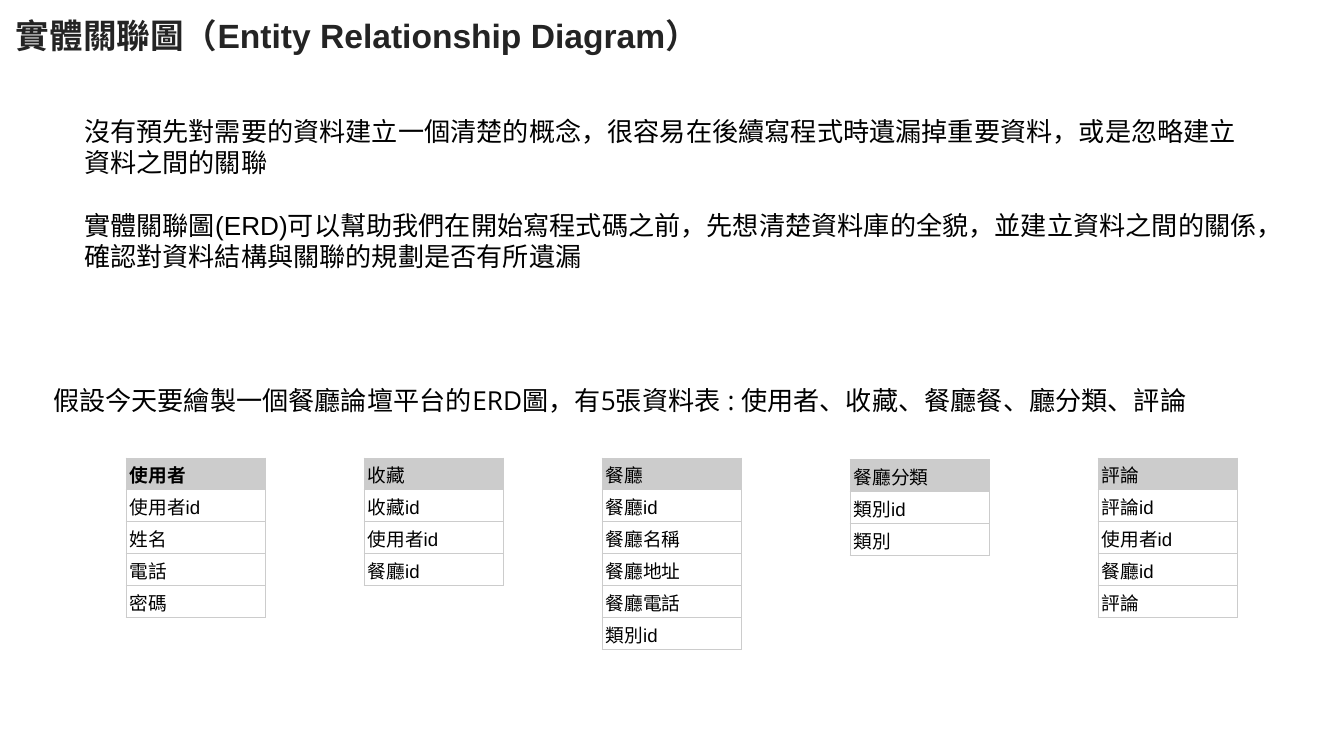
from dataclasses import dataclass

from lxml.etree import SubElement
from pptx import Presentation
from pptx.dml.color import RGBColor
from pptx.enum.text import MSO_ANCHOR, MSO_AUTO_SIZE
from pptx.oxml import parse_xml
from pptx.oxml.ns import nsdecls, qn
from pptx.slide import Slide
from pptx.table import _Cell as Cell
from pptx.text.text import _Paragraph as Paragraph
from pptx.util import Emu, Pt

EMU_PER_PX = 914400 / 134.4
SLIDE_WIDTH, SLIDE_HEIGHT = 1344, 756
COLUMN_WIDTH, ROW_HEIGHT = 140, 32
BORDER_WIDTH = Pt(0.6)
COLORS = {"title": "242424", "text": "000000", "header": "CCCCCC", "border": "CCCCCC"}


@dataclass(frozen=True)
class TextBlock:
    left: int
    top: int
    width: int
    height: int
    paragraphs: tuple[str, ...]
    size: int = 14
    font: str = "Arial"
    color: str = "text"
    bold: bool = False
    line_spacing: float = 1.0
    space_before: int = 0
    paragraph_gap: int = 0
    grows: bool = False


@dataclass(frozen=True)
class Entity:
    left: int
    top: int
    name: str
    fields: tuple[str, ...]
    bold_name: bool = False


TEXT_BLOCKS = (
    TextBlock(3, 4, 723, 54, ("實體關聯圖（Entity Relationship Diagram）",),
              size=18, color="title", bold=True, line_spacing=0.98, space_before=29),
    TextBlock(40, 371, 1263, 105,
              ("假設今天要繪製一個餐廳論壇平台的ERD圖，有5張資料表 : 使用者、收藏、餐廳餐、廳分類、評論",),
              font="Open Sans"),
    TextBlock(71, 102, 1200, 185, (
        "沒有預先對需要的資料建立一個清楚的概念，很容易在後續寫程式時遺漏掉重要資料，或是忽略建立資料之間的關聯",
        "實體關聯圖(ERD)可以幫助我們在開始寫程式碼之前，先想清楚資料庫的全貌，並建立資料之間的關係，確認對資料結構與關聯的規劃是否有所遺漏",
    ), paragraph_gap=17, grows=True),
)

ENTITIES = (
    Entity(126, 458, "使用者", ("使用者id", "姓名", "電話", "密碼"), bold_name=True),
    Entity(364, 458, "收藏", ("收藏id", "使用者id", "餐廳id")),
    Entity(602, 458, "餐廳", ("餐廳id", "餐廳名稱", "餐廳地址", "餐廳電話", "類別id")),
    Entity(850, 460, "餐廳分類", ("類別id", "類別")),
    Entity(1098, 458, "評論", ("評論id", "使用者id", "餐廳id", "評論")),
)


def px(length: int) -> Emu:
    return Emu(round(length * EMU_PER_PX))


def format_runs(paragraph: Paragraph, size: int, font: str, color: str, bold: bool) -> None:
    for run in paragraph.runs:
        run.font.size = Pt(size)
        run.font.name = font
        run.font.bold = bold
        run.font.color.rgb = RGBColor.from_string(COLORS[color])
        SubElement(run.font._element, qn("a:ea")).set("typeface", font)


def add_text_block(slide: Slide, block: TextBlock) -> None:
    shape = slide.shapes.add_textbox(
        px(block.left), px(block.top), px(block.width), px(block.height))
    text_frame = shape.text_frame
    text_frame.word_wrap = True
    text_frame.auto_size = (
        MSO_AUTO_SIZE.SHAPE_TO_FIT_TEXT if block.grows else MSO_AUTO_SIZE.NONE)
    text_frame.margin_left = text_frame.margin_right = px(13)
    text_frame.margin_top = text_frame.margin_bottom = px(13)
    text_frame.text = "\n".join(block.paragraphs)
    for index, paragraph in enumerate(text_frame.paragraphs):
        paragraph.line_spacing = block.line_spacing
        paragraph.space_before = Pt(block.paragraph_gap if index else block.space_before)
        format_runs(paragraph, block.size, block.font, block.color, block.bold)


def add_borders(cell: Cell) -> None:
    properties = cell._tc.get_or_add_tcPr()
    for position, side in enumerate(("lnL", "lnR", "lnT", "lnB")):
        properties.insert(position, parse_xml(
            f'<a:{side} {nsdecls("a")} w="{BORDER_WIDTH}"><a:solidFill>'
            f'<a:srgbClr val="{COLORS["border"]}"/></a:solidFill></a:{side}>'))


def format_cell(cell: Cell, text: str, is_header: bool, bold: bool) -> None:
    cell.text_frame.text = text
    cell.vertical_anchor = MSO_ANCHOR.BOTTOM
    cell.margin_left = cell.margin_right = px(4)
    cell.margin_top = cell.margin_bottom = px(3)
    paragraph = cell.text_frame.paragraphs[0]
    paragraph.line_spacing = 1.15
    format_runs(paragraph, 10, "Arial", "text", bold)
    if is_header:
        cell.fill.solid()
        cell.fill.fore_color.rgb = RGBColor.from_string(COLORS["header"])
    else:
        cell.fill.background()
    add_borders(cell)


def add_entity(slide: Slide, entity: Entity) -> None:
    texts = (entity.name, *entity.fields)
    table = slide.shapes.add_table(
        len(texts), 1, px(entity.left), px(entity.top),
        px(COLUMN_WIDTH), px(ROW_HEIGHT * len(texts))).table
    table.first_row = table.horz_banding = False
    for index, text in enumerate(texts):
        is_header = index == 0
        format_cell(table.cell(index, 0), text, is_header, is_header and entity.bold_name)


def main() -> None:
    presentation = Presentation()
    presentation.slide_width = px(SLIDE_WIDTH)
    presentation.slide_height = px(SLIDE_HEIGHT)
    slide = presentation.slides.add_slide(presentation.slide_layouts[6])
    for block in TEXT_BLOCKS:
        add_text_block(slide, block)
    for entity in ENTITIES:
        add_entity(slide, entity)
    presentation.save("out.pptx")


if __name__ == "__main__":
    main()
